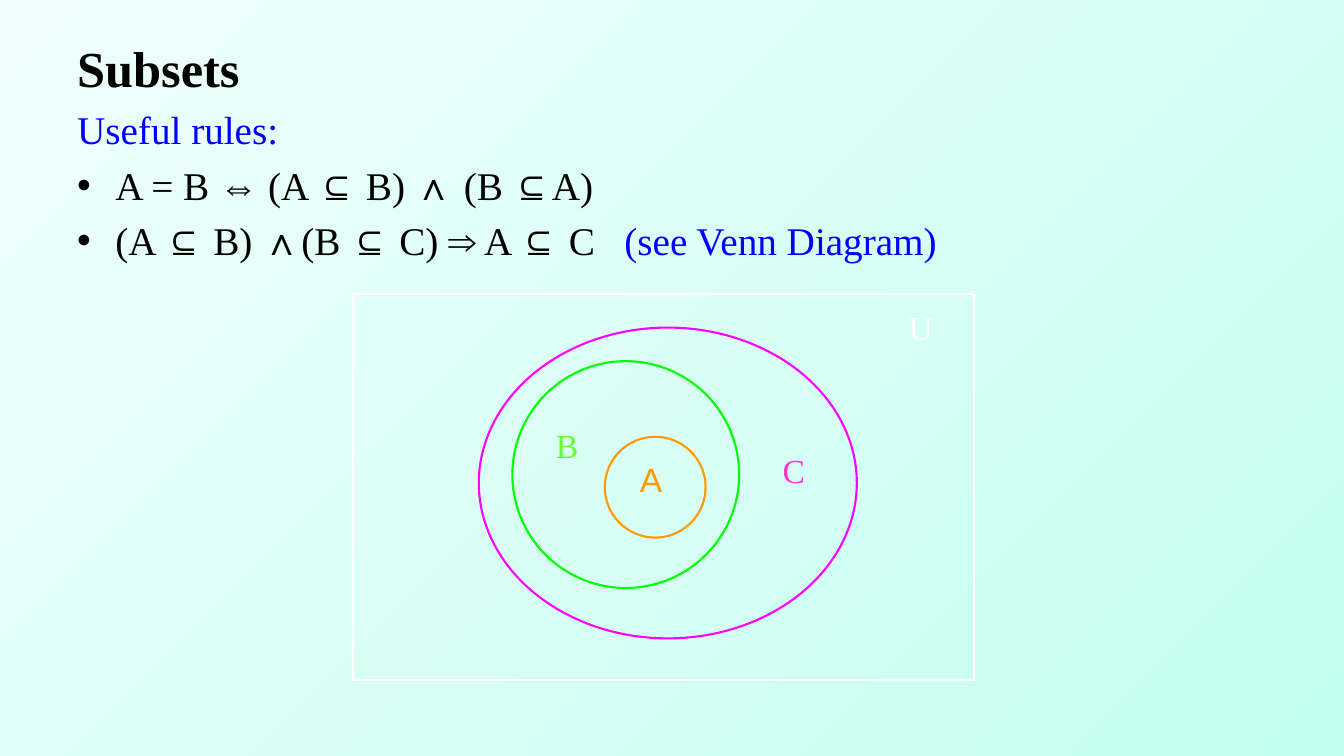
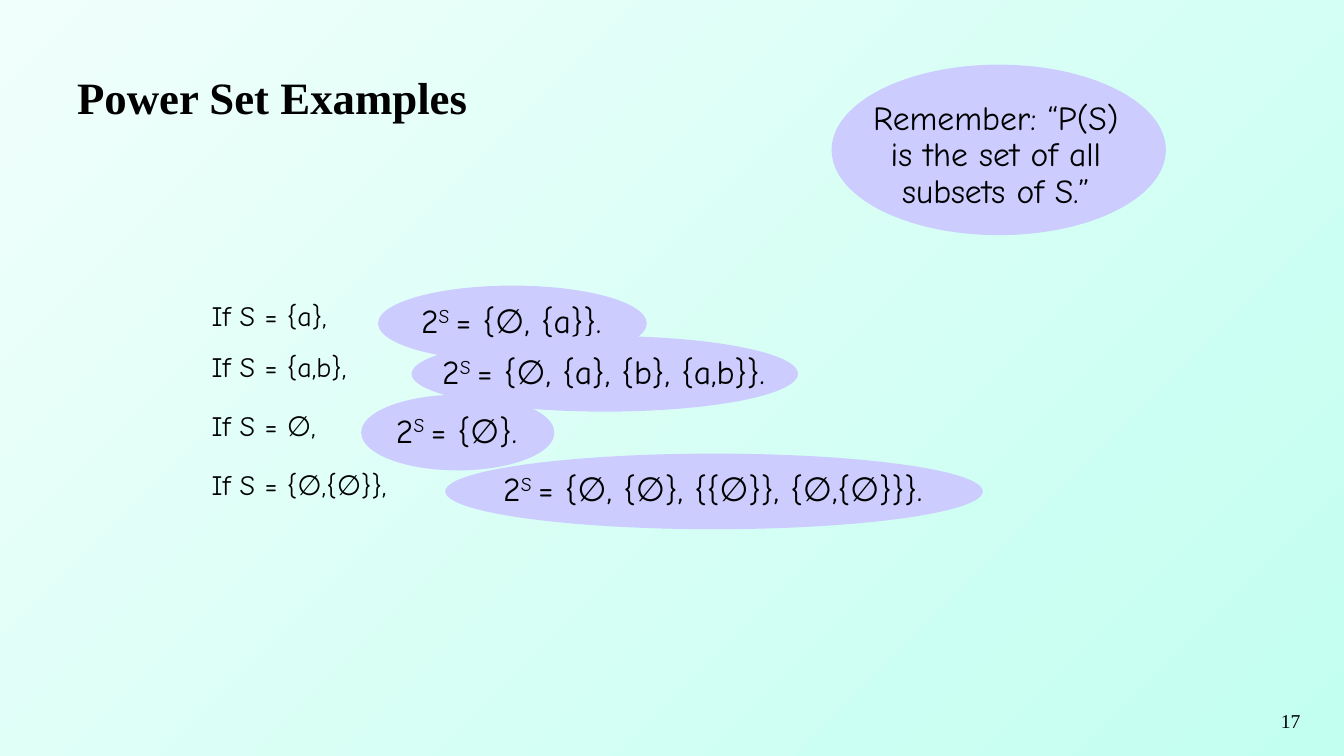
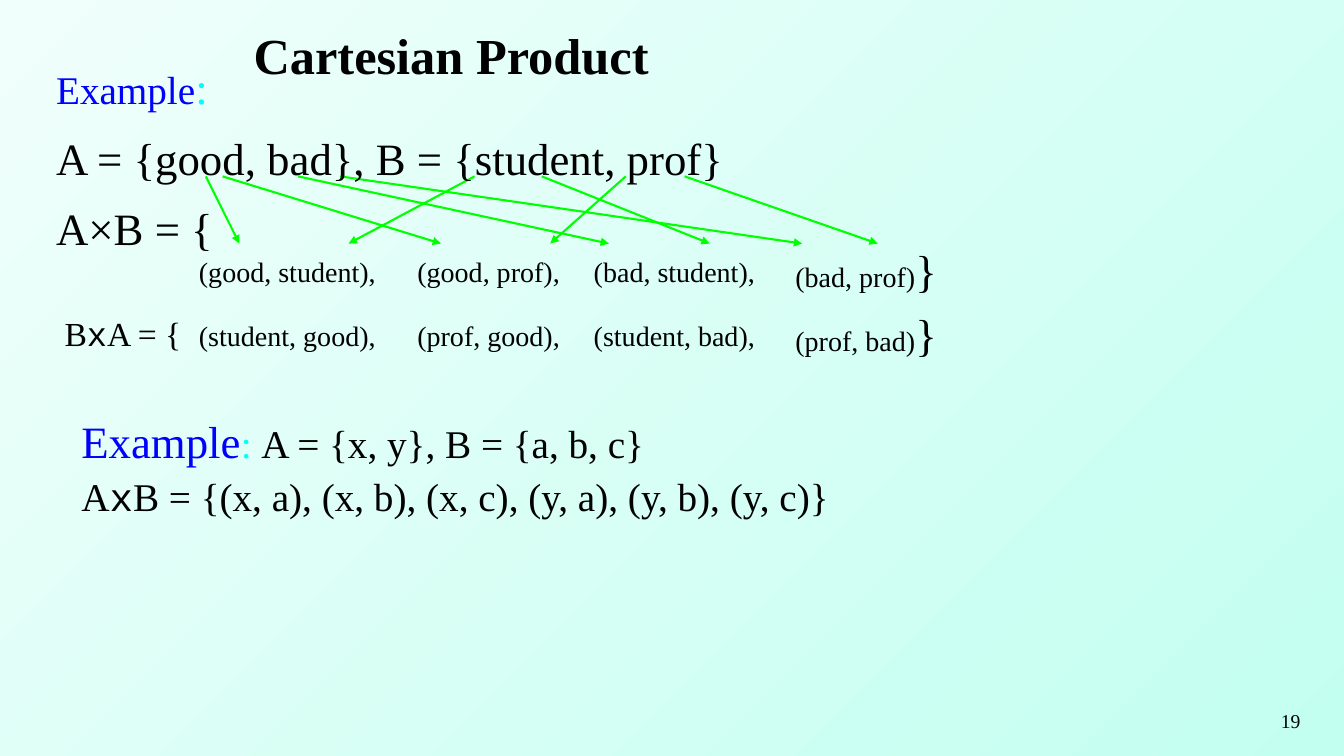
import lxml.etree
import pptx
import pptx.dml.color
import pptx.enum.shapes
import pptx.enum.text
import pptx.oxml.ns
import pptx.util

COLS, ROWS = 160, 90
UNIT = pptx.util.Inches(13.33) / COLS
SERIF, COMIC, SANS, MONO = "Times New Roman", "Comic Neue", "Arial", "Courier New"
BLACK, WHITE, BLUE, CYAN, LILAC = "000000", "FFFFFF", "0000FF", "00FFFF", "CCCCFF"
GREEN, LIME, ORANGE, MAGENTA, PINK = "00FF00", "66FF33", "FF9900", "FF00FF", "FF33CC"
LEFT, CENTER, RIGHT = (getattr(pptx.enum.text.PP_ALIGN, n) for n in ("LEFT", "CENTER", "RIGHT"))
TOP, MIDDLE = pptx.enum.text.MSO_ANCHOR.TOP, pptx.enum.text.MSO_ANCHOR.MIDDLE
RECT, OVAL = pptx.enum.shapes.MSO_SHAPE.RECTANGLE, pptx.enum.shapes.MSO_SHAPE.OVAL
SUBSET, AND = ("⊆", {"bold": True}), ("∧", {"bold": True})


def rgb(color):
    return pptx.dml.color.RGBColor.from_string(color)


def grid(*cells):
    return [round(c * UNIT) for c in cells]


def child(parent, tag, **attrs):
    return lxml.etree.SubElement(parent, pptx.oxml.ns.qn(tag), **attrs)


def style(font, size=None, name=None, color=None, bold=None):
    if size:
        font.size = pptx.util.Pt(size)
    if name:
        font.name = name
    if color:
        font.color.rgb = rgb(color)
    if bold is not None:
        font.bold = bold


def add_run(p, text, baseline=None, spacing=None, **look):
    r = p.add_run()
    r.text = text
    style(r.font, **look)
    for key, value in (("baseline", baseline), ("spc", spacing)):
        if value:
            r._r.get_or_add_rPr().set(key, str(value))


def add_bullet(p):
    pPr = p._p.get_or_add_pPr()
    hang = pptx.util.Inches(0.38)
    pPr.set("marL", str(hang))
    pPr.set("indent", str(-hang))
    child(pPr, "a:buFont", typeface=SANS)
    child(pPr, "a:buChar", char="•")


def add_text(s, at, paragraphs, size=24, name=SERIF, color=BLACK, bold=False,
             align=LEFT, anchor=TOP, line=None, gap=0, bullets_from=None):
    tf = s.shapes.add_textbox(*grid(*at)).text_frame
    tf.word_wrap = True
    tf.vertical_anchor = anchor
    for i, runs in enumerate(paragraphs):
        p = tf.add_paragraph() if i else tf.paragraphs[0]
        if bullets_from is not None and i >= bullets_from:
            add_bullet(p)
        p.alignment = align
        if line:
            p.line_spacing = line
        if i and gap:
            p.space_before = pptx.util.Pt(gap)
        style(p.font, size, name, color, bold)
        for run in runs:
            text, look = (run, {}) if isinstance(run, str) else run
            add_run(p, text, **look)


def add_title(s, at, text, size=36):
    add_text(s, at, [[text]], size=size, bold=True, anchor=MIDDLE)


def add_number(s, number):
    add_text(s, (118.7, 83.8, 37.3, 6.2), [[number]], size=14, align=RIGHT)


def add_figure(s, kind, at, fill=None, line=None):
    sp = s.shapes.add_shape(kind, *grid(*at))
    sp.shadow.inherit = False
    if fill:
        sp.fill.solid()
        sp.fill.fore_color.rgb = rgb(fill)
    else:
        sp.fill.background()
    if line:
        sp.line.color.rgb = rgb(line)
        sp.line.width = pptx.util.Pt(1.5)
    else:
        sp.line.fill.background()


def add_arrow(s, start, end):
    c = s.shapes.add_connector(pptx.enum.shapes.MSO_CONNECTOR.STRAIGHT, *grid(*start, *end))
    c.line.color.rgb = rgb(GREEN)
    c.line.width = pptx.util.Pt(1.5)
    child(c.line._get_or_add_ln(), "a:tailEnd", type="triangle")
    child(c._element.spPr, "a:effectLst")


def set_background(prs):
    fill = prs.slide_master.background.fill
    fill.gradient()
    fill.gradient_angle = 315
    for stop, color in zip(fill.gradient_stops, ("F0FFFB", "C2FFF0")):
        stop.color.rgb = rgb(color)


def build_subsets(s):
    add_title(s, (8, 2, 123, 12), "Subsets")
    add_text(s, (8, 12, 128, 21), [
        [("Useful rules:", {"color": BLUE})],
        ["A = B ⇔ (A ", SUBSET, " B) ", AND, " (B ", SUBSET, "A)"],
        ["(A ", SUBSET, " B) ", AND, "(B ", SUBSET, " C) ⇒ A ", SUBSET, " C",
         (" ", {"spacing": 1400}), ("(see Venn Diagram)", {"color": BLUE})],
    ], size=28, gap=6, bullets_from=1)
    for kind, at, color in (
        (RECT, (42, 35, 74, 46), WHITE),
        (OVAL, (72, 52, 12, 12), ORANGE),
        (OVAL, (61, 43, 27, 27), GREEN),
        (OVAL, (57, 39, 45, 37), MAGENTA),
    ):
        add_figure(s, kind, at, line=color)
    for text, col, row, name, color in (
        ("U", 107, 36, SERIF, WHITE),
        ("A", 75, 54, SANS, ORANGE),
        ("B", 65, 50, SERIF, LIME),
        ("C", 92, 53, SERIF, PINK),
    ):
        add_text(s, (col, row, 6.5, 6), [[text]], name=name, color=color)


def build_power_sets(s):
    add_number(s, "17")
    add_title(s, (8, 4, 146.6, 15), "Power Set Examples", size=32)
    add_figure(s, OVAL, (99, 7.7, 39.8, 20.3), fill=LILAC)
    add_text(s, (101.2, 11.5, 34.7, 14.3), [["Remember: “P(S) is the set of all subsets of S.”"]],
             name=COMIC, align=CENTER, line=0.9)
    for row, given, col, width, power in (
        (35, "{a}", 45, 32, "{∅, {a}}"),
        (41, "{a,b}", 49, 46, "{∅, {a}, {b}, {a,b}}"),
        (48, "∅", 43, 23, "{∅}"),
        (55, "{∅,{∅}}", 53, 64, "{∅, {∅}, {{∅}}, {∅,{∅}}}"),
    ):
        add_text(s, (24, row, 91, 8), [[f"If S = {given},"]], size=20, name=COMIC)
        add_figure(s, OVAL, (col, row - 1, width, 9), fill=LILAC)
        add_text(s, (col, row + 0.15, width - 0.3, 6),
                 [["2", ("S ", {"baseline": 30000}), f"= {power}."]], name=COMIC, align=CENTER)


def build_cartesian(s):
    for start, end in ((24.5, 28.5), (56.5, 41.5), (26.5, 52.5), (74.5, 65.5),
                       (35.5, 72.5), (64.5, 84.5), (40.5, 95.5), (81.5, 104.5)):
        add_arrow(s, (start, 21), (end, 29))
    pair_cols = (22.5, 48.5, 69.5, 93.5)
    for row, pairs in (
        (29, ("(good, student)", "(good, prof)", "(bad, student)", "(bad, prof)")),
        (36.65, ("(student, good)", "(prof, good)", "(student, bad)", "(prof, bad)")),
    ):
        for col, pair in zip(pair_cols, pairs):
            last = col == pair_cols[-1]
            runs = [pair, ("}", {"size": 32})] if last else [pair + ","]
            at = (col, row - 0.7, 39, 7.5) if last else (col, row, 39, 6.1)
            add_text(s, at, [runs + [(" ", {"size": 24})]], size=20)
    cross = ("x", {"name": MONO})
    add_text(s, (6.5, 36.65, 19, 6.1), [["B", cross, "A = {"]])
    add_text(s, (5.5, 5.9, 128, 16.3), [
        [("Example", {"size": 28, "color": BLUE}), (":", {"color": CYAN})],
        ["A = {good, bad}, B = {student, prof}"],
        ["A×B = {"],
    ], size=32, line=1.1, gap=8)
    add_number(s, "19")
    add_title(s, (29, 2, 102, 9), "Cartesian Product")
    add_text(s, (8.5, 48, 125, 23), [
        [("Example", {"size": 32, "color": BLUE}), (": ", {"color": CYAN}), "A = {x, y}, B = {a, b, c}"],
        ["A", cross, "B = {(x, a), (x, b), (x, c), (y, a), (y, b), (y, c)}"],
    ], size=28, line=1.1)


def main():
    prs = pptx.Presentation()
    prs.slide_width, prs.slide_height = grid(COLS, ROWS)
    set_background(prs)
    for build in (build_subsets, build_power_sets, build_cartesian):
        build(prs.slides.add_slide(prs.slide_layouts[6]))
    prs.save("out.pptx")


if __name__ == "__main__":
    main()
